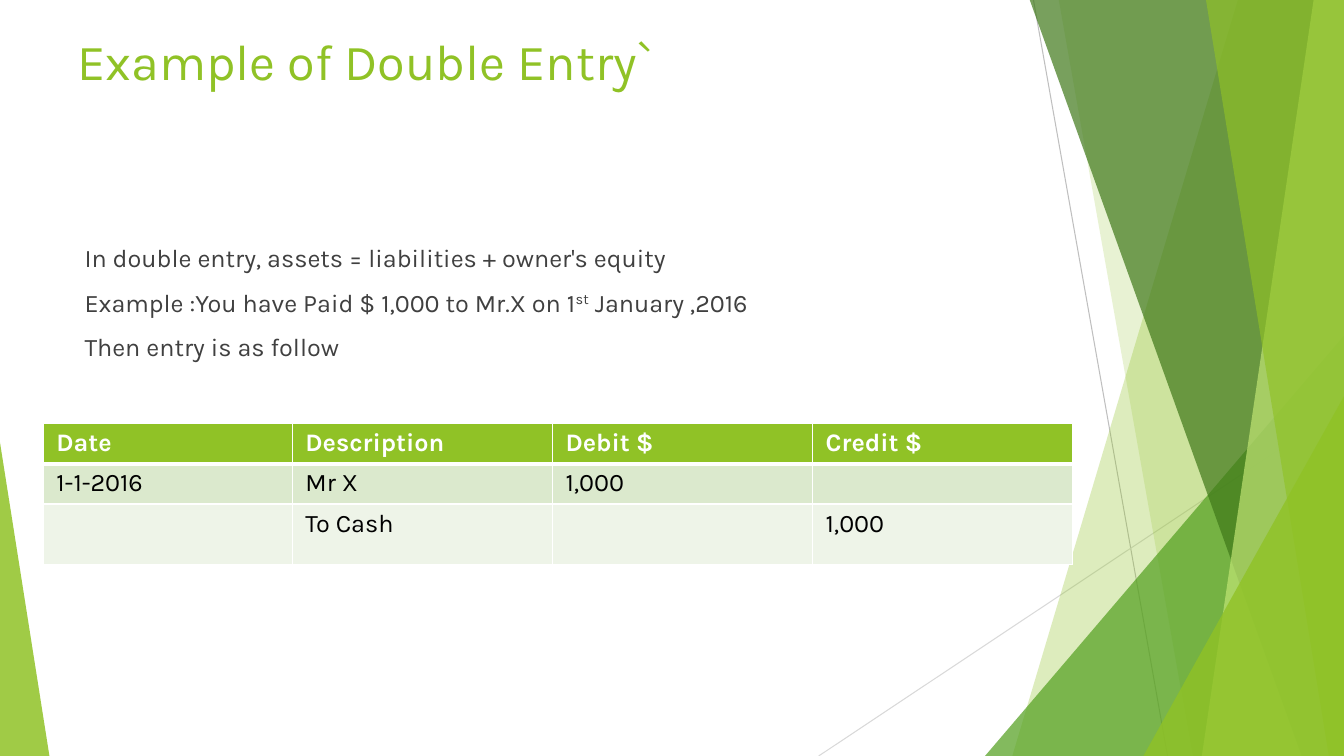
from lxml import etree
from pptx import Presentation
from pptx.dml.color import RGBColor
from pptx.enum.shapes import MSO_CONNECTOR, MSO_SHAPE
from pptx.oxml.ns import qn
from pptx.util import Inches, Pt

STRAIGHT = MSO_CONNECTOR.STRAIGHT
TRIANGLE = MSO_SHAPE.ISOSCELES_TRIANGLE
FONT = "Karla"
COLOURS = {
    "green": "90C226", "leaf": "54A021", "forest": "3F7819", "lime": "C0E474",
    "white": "FFFFFF", "black": "000000", "text": "404040",
    "silver": "BFBFBF", "mist": "D9D9D9", "band": "DBE9CD", "pale": "EEF4E8",
}
WIDTH, HEIGHT, BLEED = 13.33, 7.5, -0.01
COLUMN_WIDTHS = [2.47, 2.58, 2.58, 2.58]
ROW_HEIGHTS = [0.4, 0.4, 0.6]
ENTRIES = [
    ["Date", "Description", "Debit $", "Credit $"],
    ["1-1-2016", "Mr X", "1,000", ""],
    ["", "To Cash", "", "1,000"],
]
BODY = [
    [("In double entry, assets = liabilities + owner's equity", False)],
    [("Example :You have Paid $ 1,000 to Mr.X on 1", False), ("st", True),
     (" January ,2016", False)],
    [("Then entry is as follow", False)],
]


def colour(name):
    """Return the named colour."""
    return RGBColor.from_string(COLOURS[name])


def paint(shape, name, opacity):
    """Fill a shape with a translucent colour, without line or shadow."""
    shape.shadow.inherit = False
    shape.line.fill.background()
    shape.fill.solid()
    shape.fill.fore_color.rgb = colour(name)
    tint = shape._element.spPr.find(qn("a:solidFill"))[0]
    etree.SubElement(tint, qn("a:alpha"), val=str(opacity * 1000))


def add_line(page, start, end, name):
    """Draw a thin straight line."""
    points = [Inches(value) for value in start + end]
    line = page.shapes.add_connector(STRAIGHT, *points)
    line.line.color.rgb = colour(name)
    line.line.width = Pt(0.75)
    etree.SubElement(line._element.spPr, qn("a:effectLst"))


def add_shard(page, top_left, bottom_left, name, opacity):
    """Draw a full-height shard that ends at the right edge of the page."""
    builder = page.shapes.build_freeform(Inches(top_left), Inches(BLEED))
    corners = [(WIDTH, BLEED), (WIDTH, HEIGHT), (bottom_left, HEIGHT)]
    builder.add_line_segments([(Inches(x), Inches(y)) for x, y in corners])
    paint(builder.convert_to_shape(), name, opacity)


def add_triangle(page, left, top, width, apex, name, opacity):
    """Draw a triangle that stands on the bottom edge of the page."""
    shape = page.shapes.add_shape(
        TRIANGLE, Inches(left), Inches(top), Inches(width), Inches(HEIGHT - top))
    shape.adjustments[0] = apex
    paint(shape, name, opacity)


def add_span(para, text, size, name, bold=False):
    """Add one formatted run and return it."""
    span = para.add_run()
    span.text = text
    span.font.name = FONT
    span.font.size = Pt(size)
    span.font.bold = bold
    span.font.color.rgb = colour(name)
    return span


def add_text(page, place, lines, size, name, space=0, indent=0):
    """Add a text box with one paragraph for each line."""
    box = page.shapes.add_textbox(*[Inches(value) for value in place])
    frame = box.text_frame
    frame.word_wrap = True
    for index, line in enumerate(lines):
        para = frame.add_paragraph() if index else frame.paragraphs[0]
        para.space_before = Pt(space)
        properties = para._p.get_or_add_pPr()
        properties.set("marL", str(Inches(indent)))
        properties.set("indent", str(-Inches(indent)))
        for text, raised in line:
            span = add_span(para, text, size, name)
            if raised:
                span.font._element.set("baseline", "30000")


def add_borders(cell, top, bottom):
    """Give a cell white borders of the given top and bottom widths."""
    properties = cell._tc.get_or_add_tcPr()
    for side, width in zip("LRTB", (1, 1, top, bottom)):
        edge = etree.SubElement(properties, qn(f"a:ln{side}"), w=str(Pt(width)))
        fill = etree.SubElement(edge, qn("a:solidFill"))
        etree.SubElement(fill, qn("a:srgbClr"), val=COLOURS["white"])


def fill_cell(cell, text, row):
    """Style and fill one cell according to its row."""
    cell.margin_left = cell.margin_right = Inches(0.13)
    cell.margin_top = cell.margin_bottom = Inches(0.05)
    add_borders(cell, 3 if row == 1 else 1, 3 if row == 0 else 1)
    cell.fill.solid()
    cell.fill.fore_color.rgb = colour(("green", "band", "pale")[row])
    para = cell.text_frame.paragraphs[0]
    para.font.size = Pt(18)
    if text:
        add_span(para, text, 18, "black" if row else "white", row == 0)


def add_journal(page):
    """Add the journal entry table."""
    table = page.shapes.add_table(
        len(ENTRIES), len(COLUMN_WIDTHS), Inches(0.43), Inches(4.2),
        Inches(sum(COLUMN_WIDTHS)), Inches(sum(ROW_HEIGHTS))).table
    for column, width in zip(table.columns, COLUMN_WIDTHS):
        column.width = Inches(width)
    for row, height in enumerate(ROW_HEIGHTS):
        table.rows[row].height = Inches(height)
        for column, text in enumerate(ENTRIES[row]):
            fill_cell(table.cell(row, column), text, row)


def add_decoration(page):
    """Draw the green facets along the page edges."""
    add_line(page, (10.25, 0), (11.58, HEIGHT), "silver")
    add_line(page, (WIDTH, 4.03), (8.12, HEIGHT), "mist")
    add_shard(page, 12.28, 10.04, "green", 30)
    add_shard(page, 10.5, 11.83, "green", 20)
    add_triangle(page, 9.77, 3.33, 3.56, 1, "leaf", 72)
    add_shard(page, 10.21, 12.91, "forest", 70)
    add_shard(page, 13.03, 11.92, "lime", 70)
    add_shard(page, 11.96, 13.18, "green", 65)
    add_triangle(page, 11.34, 3.93, 1.99, 1, "green", 80)
    add_triangle(page, 0, 4.39, 0.49, 0, "green", 85)


def main():
    """Build and save the deck."""
    deck = Presentation()
    deck.slide_width, deck.slide_height = Inches(WIDTH), Inches(HEIGHT)
    page = deck.slides.add_slide(deck.slide_layouts[6])
    add_decoration(page)
    add_text(page, (0.67, 0.25, 12, 1.25),
             [[("Example of Double Entry`", False)]], 36, "green")
    add_text(page, (0.74, 2.36, 9.4, 4.24), BODY, 18, "text", 10, 0.38)
    add_journal(page)
    deck.save("out.pptx")


main()
